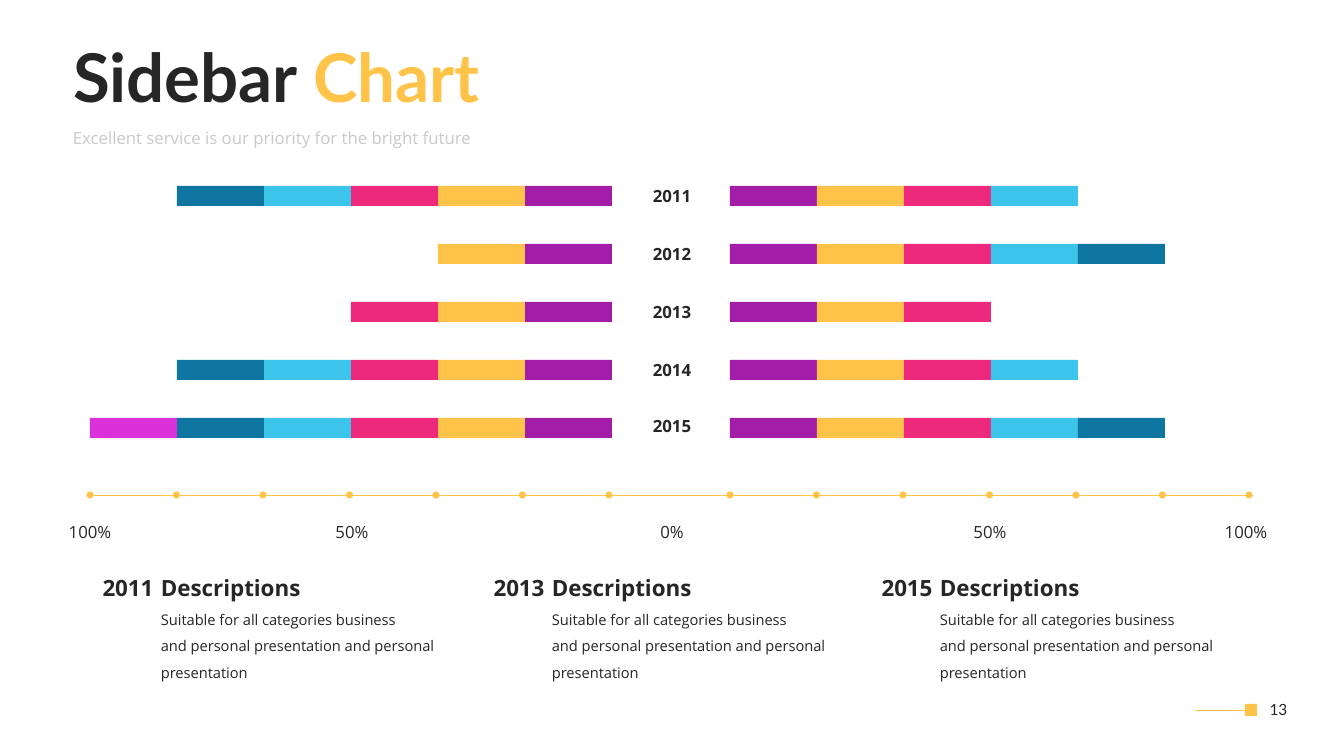
import pptx
import pptx.util
import pptx.dml.color
import pptx.enum.shapes
import pptx.enum.text
import pptx.oxml.ns
import lxml.etree

# Content
TITLE = [("Sidebar ", "ink"), ("Chart", "gold")]
SUBTITLE = "Excellent service is our priority for the bright future"
PAGE = "13"
SERIES = ["purple", "gold", "pink", "sky", "blue", "violet"]  # from the centre outwards
YEARS = [  # year, label top, blocks on the left, blocks on the right
    ("2011", 181, 5, 4),
    ("2012", 239, 2, 5),
    ("2013", 297, 3, 3),
    ("2014", 355, 5, 4),
    ("2015", 411, 6, 5),
]
AXIS_LABELS = [("100%", 90), ("50%", 352), ("0%", 672), ("50%", 990), ("100%", 1246)]
DESCRIPTIONS = [("2011", 86), ("2013", 477), ("2015", 865)]
DESCRIPTION_HEAD = "Descriptions"
DESCRIPTION_BODY = ("Suitable for all categories business\n"
                    "and personal presentation and personal presentation")

THEME = {
    "colour": {"ink": "262626", "grey": "C9C9C9", "gold": "FFC34A", "purple": "A41DA8",
               "pink": "EC297C", "sky": "3DC4EA", "blue": "0F76A1", "violet": "DB31DB"},
    "size": {"title": 48, "head": 16, "label": 12, "page": 11, "body": 10.5},
    "title_font": "Lato",
    "font": "Open Sans",
}

# Layout in px
SCALE = 914400 / 100.8
BLOCK_W, BLOCK_H = 87, 20
LEFT_BASE, RIGHT_BASE = 612, 730
ROW_TOP, ROW_PITCH = 186, 58
AXIS_Y, AXIS_START, AXIS_END = 495, 90, 1253
DOT, DOTS_PER_SIDE, DOT_SPAN = 7, 7, 519
LABEL_W, LABEL_H = 84, 30

SHAPE = pptx.enum.shapes.MSO_SHAPE
ALIGN = pptx.enum.text.PP_ALIGN
ANCHOR = pptx.enum.text.MSO_ANCHOR


def px(n):
    return pptx.util.Emu(round(n * SCALE))


def colour(name):
    return pptx.dml.color.RGBColor.from_string(THEME["colour"][name])


def style(r, size, ink="ink", bold=False, font=THEME["font"]):
    r.font.size = pptx.util.Pt(THEME["size"][size])
    r.font.name = font
    r.font.bold = bold
    r.font.color.rgb = colour(ink)


def add_text(s, text, x, y, w, h, size, ink="ink", bold=False, align=ALIGN.LEFT,
             spacing=None, font=THEME["font"], anchor=ANCHOR.TOP):
    tf = s.shapes.add_textbox(px(x), px(y), px(w), px(h)).text_frame
    tf.word_wrap = True
    tf.vertical_anchor = anchor
    tf.text = text
    for p in tf.paragraphs:
        p.alignment = align
        p.line_spacing = spacing
        for r in p.runs:
            style(r, size, ink, bold, font)


def add_block(s, kind, x, y, w, h, fill):
    sp = s.shapes.add_shape(kind, px(x), px(y), px(w), px(h))
    sp.shadow.inherit = False
    sp.fill.solid()
    sp.fill.fore_color.rgb = colour(fill)
    sp.line.fill.background()
    return sp


def add_line(s, x1, x2, y):
    line = s.shapes.add_connector(pptx.enum.shapes.MSO_CONNECTOR.STRAIGHT,
                                  px(x1), px(y), px(x2), px(y))
    line.line.color.rgb = colour("gold")
    line.line.width = pptx.util.Pt(0.5)
    lxml.etree.SubElement(line._element.spPr, pptx.oxml.ns.qn("a:effectLst"))
    return line


def add_header(s):
    title = s.shapes.title
    title.left, title.top, title.width, title.height = px(63), px(35), px(807), px(92)
    tf = title.text_frame
    tf.auto_size = pptx.enum.text.MSO_AUTO_SIZE.NONE
    tf.vertical_anchor = ANCHOR.MIDDLE
    p = tf.paragraphs[0]
    p.alignment = ALIGN.LEFT
    p.line_spacing = 0.9
    for text, ink in TITLE:
        r = p.add_run()
        r.text = text
        style(r, "title", ink, True, THEME["title_font"])
    add_text(s, SUBTITLE, 63, 125, 486, 24, "label", "grey", spacing=0.9)


def add_bars(s):
    for row, (year, label_top, left, right) in enumerate(YEARS):
        y = ROW_TOP + row * ROW_PITCH
        for i, fill in enumerate(SERIES[:left]):
            add_block(s, SHAPE.RECTANGLE, LEFT_BASE - (i + 1) * BLOCK_W, y,
                      BLOCK_W, BLOCK_H, fill)
        for i, fill in enumerate(SERIES[:right]):
            add_block(s, SHAPE.RECTANGLE, RIGHT_BASE + i * BLOCK_W, y,
                      BLOCK_W, BLOCK_H, fill)
        add_text(s, year, 630, label_top, LABEL_W, LABEL_H, "label",
                 bold=True, align=ALIGN.CENTER)


def add_axis(s):
    add_line(s, AXIS_START, AXIS_END, AXIS_Y)
    for start in (AXIS_START, RIGHT_BASE):
        for i in range(DOTS_PER_SIDE):
            centre = start + i * DOT_SPAN / (DOTS_PER_SIDE - 1)
            add_block(s, SHAPE.OVAL, centre - DOT / 2, AXIS_Y - DOT / 2, DOT, DOT, "gold")
    for text, centre in AXIS_LABELS:
        add_text(s, text, centre - LABEL_W / 2, 517, LABEL_W, LABEL_H, "label",
                 align=ALIGN.CENTER)


def add_descriptions(s):
    for year, x in DESCRIPTIONS:
        add_text(s, year, x, 569, LABEL_W, 37, "head", bold=True, align=ALIGN.CENTER)
        add_text(s, DESCRIPTION_HEAD, x + 65, 569, 190, 37, "head", bold=True)
        add_text(s, DESCRIPTION_BODY, x + 65, 597, 327, 88, "body", spacing=1.5)


def add_footer(s):
    square = add_block(s, SHAPE.RECTANGLE, 1245, 704, 12, 12, "gold")
    add_line(s, 1195, 1245, 710).end_connect(square, 1)
    add_text(s, PAGE, 1248, 689, 61, 41, "page", align=ALIGN.CENTER,
             font=THEME["title_font"], anchor=ANCHOR.MIDDLE)


def main():
    prs = pptx.Presentation()
    prs.slide_width, prs.slide_height = px(1344), px(756)
    s = prs.slides.add_slide(prs.slide_layouts[5])
    add_header(s)
    add_bars(s)
    add_axis(s)
    add_descriptions(s)
    add_footer(s)
    prs.save("out.pptx")


if __name__ == "__main__":
    main()
